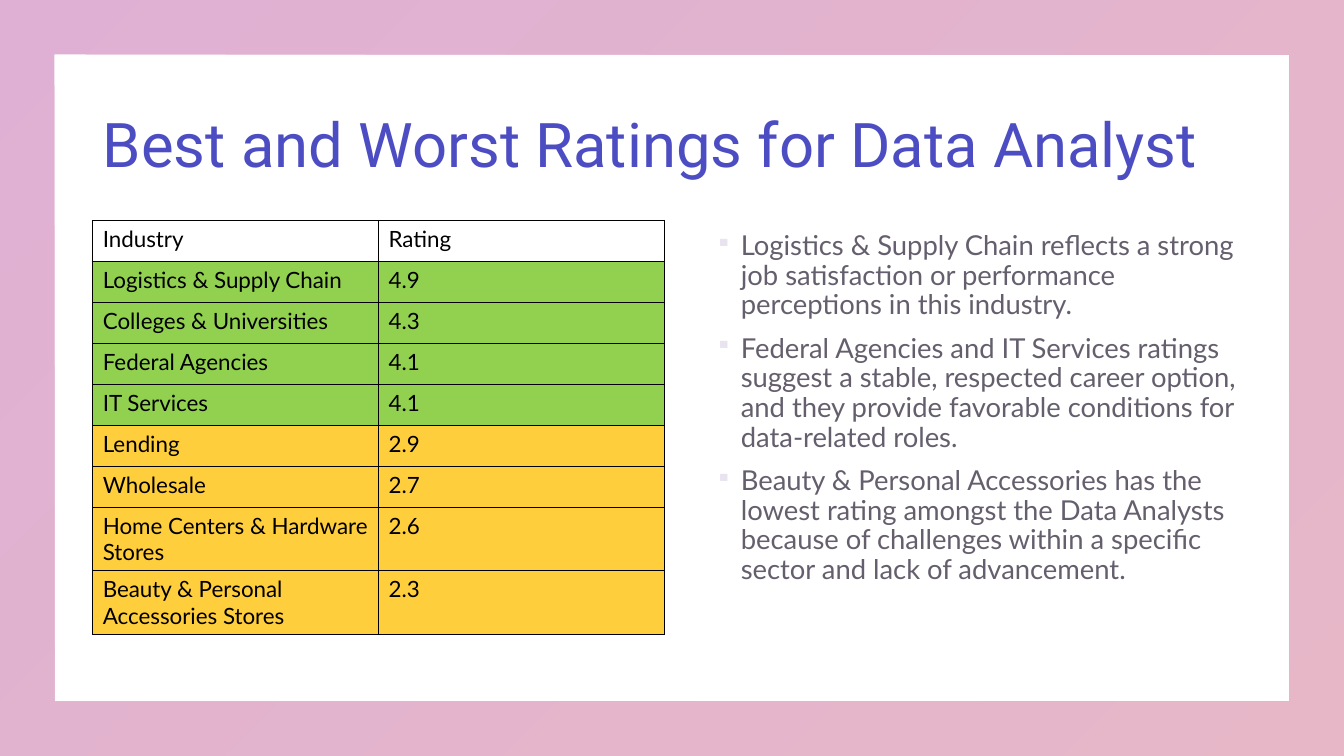
import pptx
import pptx.util
import pptx.oxml
import pptx.oxml.ns
import pptx.dml.color
import pptx.enum.shapes
import pptx.enum.text
import lxml.etree

Inches = pptx.util.Inches
Pt = pptx.util.Pt
RGBColor = pptx.dml.color.RGBColor
qn = pptx.oxml.ns.qn

PLUM = RGBColor(0xB1, 0x3B, 0x93)
ROSE = RGBColor(0xC3, 0x4D, 0x74)
BLUE = RGBColor(0x4D, 0x4D, 0xC3)
BLACK = RGBColor(0, 0, 0)
INK = RGBColor(0x23, 0x1B, 0x30)
PALE = RGBColor(0xE8, 0xE3, 0xEF)
GREEN = RGBColor(0x92, 0xD0, 0x50)
GOLD = RGBColor(0xFF, 0xCE, 0x3C)

RATINGS = [
    ("Industry", "Rating", None),
    ("Logistics & Supply Chain", "4.9", GREEN),
    ("Colleges & Universities", "4.3", GREEN),
    ("Federal Agencies", "4.1", GREEN),
    ("IT Services", "4.1", GREEN),
    ("Lending", "2.9", GOLD),
    ("Wholesale", "2.7", GOLD),
    ("Home Centers & Hardware Stores", "2.6", GOLD),
    ("Beauty & Personal Accessories Stores", "2.3", GOLD),
]
POINTS = [
    "Logistics & Supply Chain reflects a strong job satisfaction or performance "
    "perceptions in this industry.",
    "Federal Agencies and IT Services ratings suggest a stable, respected career "
    "option, and they provide favorable conditions for data-related roles.",
    "Beauty & Personal Accessories has the lowest rating amongst the Data Analysts "
    "because of challenges within a specific sector and lack of advancement.",
]


def add_run(para, text, font, size, color):
    run = para.add_run()
    run.text = text
    run.font.name = font
    run.font.size = Pt(size)
    run.font.color.rgb = color
    return run


def set_alpha(root, percent):
    for color in root.iter(qn("a:srgbClr")):
        alpha = lxml.etree.SubElement(color, qn("a:alpha"))
        alpha.set("val", str(percent * 1000))


deck = pptx.Presentation()
deck.slide_width = Inches(13.33)
deck.slide_height = Inches(7.5)
slide = deck.slides.add_slide(deck.slide_layouts[5])

frame = slide.shapes.add_shape(
    pptx.enum.shapes.MSO_SHAPE.FRAME, 0, 0, deck.slide_width, deck.slide_height)
frame.adjustments[0] = 0.072
frame.shadow.inherit = False
frame.line.fill.background()
frame.fill.gradient()
frame.fill.gradient_angle = 315
for stop, color, place in zip(frame.fill.gradient_stops, (PLUM, ROSE), (0, 1)):
    stop.color.rgb = color
    stop.position = place
set_alpha(frame._element.spPr, 40)
slide.shapes._spTree.remove(frame._element)
slide.shapes._spTree.insert(2, frame._element)

title = slide.shapes.title
title.left, title.top = Inches(0.92), Inches(0.74)
title.width, title.height = Inches(11.5), Inches(1.45)
title.text_frame.vertical_anchor = pptx.enum.text.MSO_ANCHOR.MIDDLE
title.text_frame.auto_size = pptx.enum.text.MSO_AUTO_SIZE.NONE
head = title.text_frame.paragraphs[0]
head.alignment = pptx.enum.text.PP_ALIGN.LEFT
head.line_spacing = 0.9
add_run(head, "Best and Worst Ratings for Data Analyst", "Roboto", 44, BLUE)

table = slide.shapes.add_table(
    len(RATINGS), 2, Inches(0.92), Inches(2.19),
    Inches(5.67), Inches(0.406 * len(RATINGS))).table
table.first_row = False
table.horz_banding = False
for row, (name, score, color) in enumerate(RATINGS):
    for col, text in enumerate((name, score)):
        cell = table.cell(row, col)
        add_run(cell.text_frame.paragraphs[0], text, "Lato", 16, BLACK)
        if color:
            cell.fill.solid()
            cell.fill.fore_color.rgb = color
        else:
            cell.fill.background()
        props = cell._tc.get_or_add_tcPr()
        for spot, side in enumerate(("lnL", "lnR", "lnT", "lnB")):
            props.insert(spot, pptx.oxml.parse_xml(
                f'<a:{side} {pptx.oxml.ns.nsdecls("a")} w="12700"><a:solidFill>'
                f'<a:srgbClr val="{BLACK}"/></a:solidFill></a:{side}>'))

notes = slide.shapes.add_textbox(
    Inches(6.75), Inches(2.25), Inches(5.67), Inches(4.51)).text_frame
notes.word_wrap = True
for index, point in enumerate(POINTS):
    para = notes.add_paragraph() if index else notes.paragraphs[0]
    para.line_spacing = 0.9
    para.space_before = Pt(10)
    run = add_run(para, point, "Lato", 19.6, INK)
    set_alpha(run._r, 70)
    props = para._p.get_or_add_pPr()
    props.set("marL", str(Inches(0.5)))
    props.set("indent", str(Inches(-0.25)))
    tint = lxml.etree.SubElement(props, qn("a:buClr"))
    lxml.etree.SubElement(tint, qn("a:srgbClr")).set("val", str(PALE))
    lxml.etree.SubElement(props, qn("a:buSzPct")).set("val", "80000")
    lxml.etree.SubElement(props, qn("a:buChar")).set("char", "▪")

deck.save("out.pptx")
